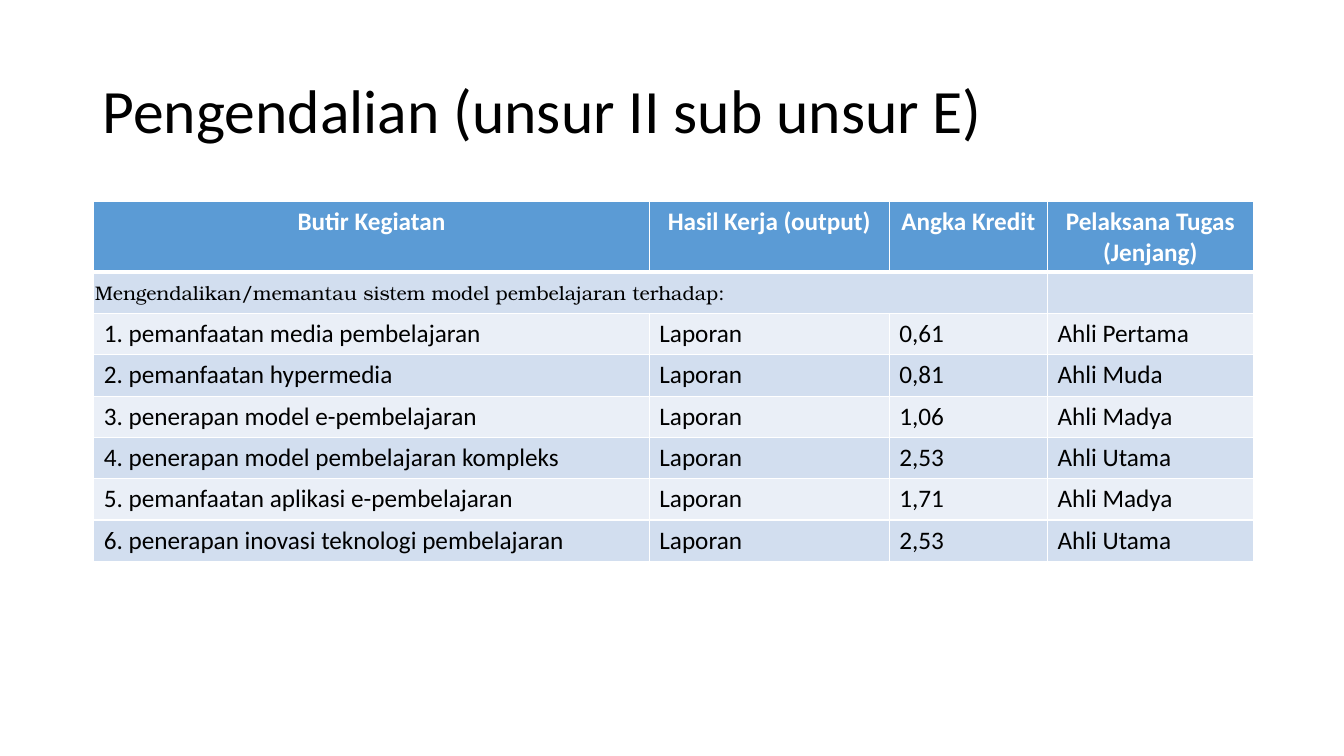
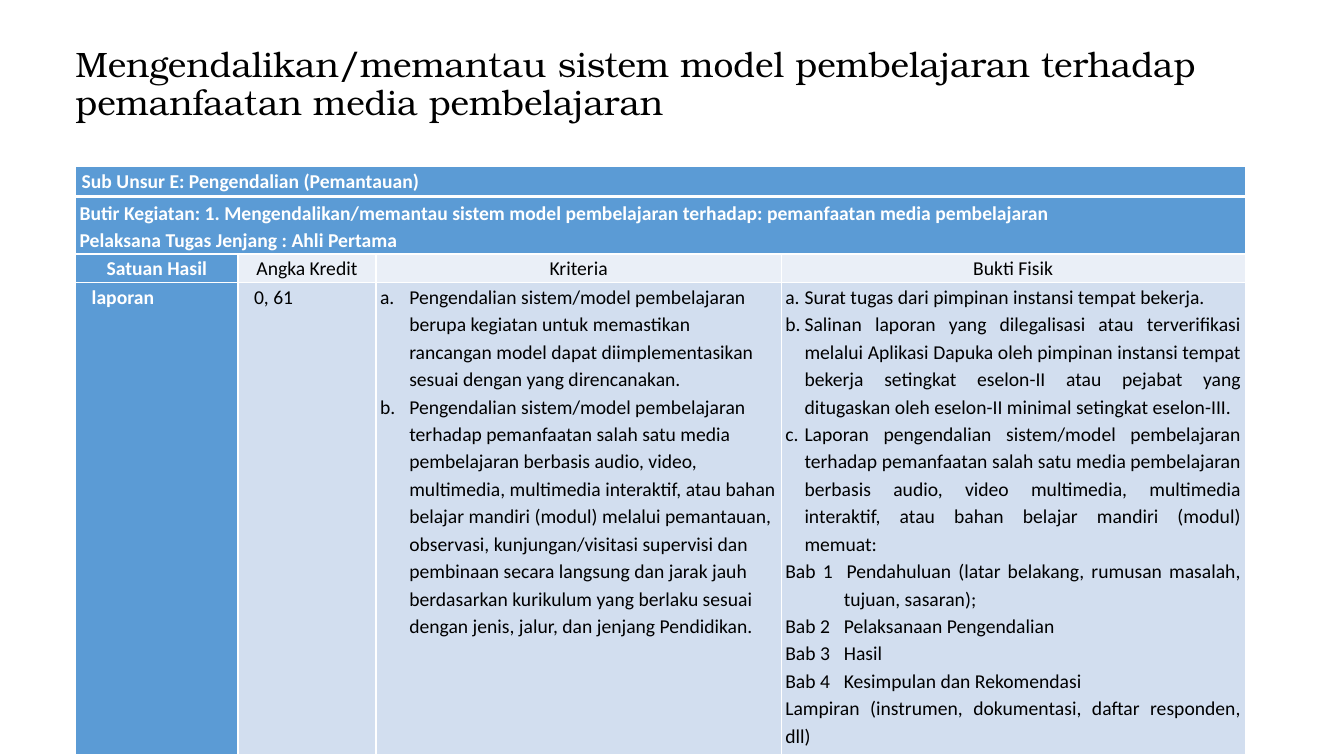
from lxml import etree
from pptx import Presentation
from pptx.dml.color import RGBColor
from pptx.enum.text import MSO_ANCHOR as Anchor, PP_ALIGN as Align
from pptx.oxml.ns import qn
from pptx.util import Inches, Pt

BLACK = RGBColor(0x00, 0x00, 0x00)
WHITE = RGBColor(0xFF, 0xFF, 0xFF)
BLUE = RGBColor(0x5B, 0x9B, 0xD5)
BAND_DARK = RGBColor(0xD2, 0xDE, 0xEF)
BAND_LIGHT = RGBColor(0xEA, 0xEF, 0xF7)
SANS = "Calibri"
SERIF = "TeX Gyre Bonum"
THIN, THICK = 1, 3


def add_run(paragraph, text, size, color=BLACK, bold=False, font=SANS):
    """Append one styled run to a paragraph."""
    run = paragraph.add_run()
    run.text = text
    run.font.name = font
    run.font.size = Pt(size)
    run.font.bold = bold
    run.font.color.rgb = color


def set_indent(paragraph, left, hanging=0, lettered=False):
    """Indent a paragraph in inches, optionally numbered a., b., c."""
    properties = paragraph._p.get_or_add_pPr()
    properties.set("marL", str(Inches(left)))
    properties.set("indent", str(-Inches(hanging)))
    if lettered:
        bullet = etree.SubElement(properties, qn("a:buAutoNum"))
        bullet.set("type", "alphaLcPeriod")


def set_borders(cell, top, bottom):
    """Draw white lines around a cell, with the given top and bottom widths."""
    properties = cell._tc.get_or_add_tcPr()
    sides = (("a:lnL", THIN), ("a:lnR", THIN), ("a:lnT", top), ("a:lnB", bottom))
    for index, (tag, width) in enumerate(sides):
        line = etree.Element(qn(tag), w=str(Pt(width)))
        fill = etree.SubElement(line, qn("a:solidFill"))
        etree.SubElement(fill, qn("a:srgbClr"), val=str(WHITE))
        properties.insert(index, line)


def set_margins(cell, side, vertical=0):
    """Set the inner margins of a cell in inches."""
    cell.margin_left = cell.margin_right = Inches(side)
    cell.margin_top = cell.margin_bottom = Inches(vertical)


def add_title(slide, box, text, size, font, anchor, top_margin):
    """Place a slide title in the given box."""
    shape = slide.shapes.add_textbox(*map(Inches, box))
    frame = shape.text_frame
    frame.word_wrap = True
    frame.vertical_anchor = anchor
    frame.margin_top = Inches(top_margin)
    paragraph = frame.paragraphs[0]
    paragraph.line_spacing = 0.9
    add_run(paragraph, text, size, font=font)


def add_grid(slide, left, top, widths, heights):
    """Add a table with white rules and a thick rule below its first row."""
    size = (left, top, sum(widths), sum(heights))
    shape = slide.shapes.add_table(len(heights), len(widths), *map(Inches, size))
    table = shape.table
    for column, width in zip(table.columns, widths):
        column.width = Inches(width)
    for index, (row, height) in enumerate(zip(table.rows, heights)):
        row.height = Inches(height)
        for cell in row.cells:
            set_borders(cell, THICK if index == 1 else THIN,
                        THICK if index == 0 else THIN)
    return table


def fill_cell(cell, color):
    """Give a cell a solid fill."""
    cell.fill.solid()
    cell.fill.fore_color.rgb = color


def add_activity_table(slide, left, top):
    """Place the list of activities with their credits and levels."""
    headers = ("Butir Kegiatan", "Hasil Kerja (output)", "Angka Kredit",
               "Pelaksana Tugas (Jenjang)")
    activities = (
        ("pemanfaatan media pembelajaran", "0,61", "Ahli Pertama"),
        ("pemanfaatan hypermedia", "0,81", "Ahli Muda"),
        ("penerapan model e-pembelajaran", "1,06", "Ahli Madya"),
        ("penerapan model pembelajaran kompleks", "2,53", "Ahli Utama"),
        ("pemanfaatan aplikasi e-pembelajaran", "1,71", "Ahli Madya"),
        ("penerapan inovasi teknologi pembelajaran", "2,53", "Ahli Utama"),
    )
    heights = [0.7] + [0.41] * (len(activities) + 1)
    table = add_grid(slide, left, top, (5.51, 2.38, 1.57, 2.04), heights)
    for column, header in enumerate(headers):
        cell = table.cell(0, column)
        fill_cell(cell, BLUE)
        paragraph = cell.text_frame.paragraphs[0]
        paragraph.alignment = Align.CENTER
        add_run(paragraph, header, 18, WHITE, bold=True)

    for column in range(len(headers)):
        fill_cell(table.cell(1, column), BAND_DARK)
    group = table.cell(1, 0)
    group.merge(table.cell(1, 2))
    group.vertical_anchor = Anchor.MIDDLE
    set_margins(group, 0.01)
    add_run(group.text_frame.paragraphs[0],
            "Mengendalikan/memantau sistem model pembelajaran terhadap:",
            14, font=SERIF)

    for number, (activity, credit, level) in enumerate(activities, 1):
        color = BAND_LIGHT if number % 2 else BAND_DARK
        values = (f"{number}. {activity}", "Laporan", credit, level)
        for column, value in enumerate(values):
            cell = table.cell(number + 1, column)
            fill_cell(cell, color)
            add_run(cell.text_frame.paragraphs[0], value, 18)


def write_lines(cell, lines, color=BLACK, bold=False, spacing=1.15,
                align=Align.LEFT):
    """Write (text, left, hanging, lettered) lines into a detail cell."""
    frame = cell.text_frame
    for index, (text, left, hanging, lettered) in enumerate(lines):
        paragraph = frame.add_paragraph() if index else frame.paragraphs[0]
        paragraph.alignment = align
        paragraph.line_spacing = spacing
        set_indent(paragraph, left, hanging, lettered)
        add_run(paragraph, text, 14, color, bold)


def add_detail_table(slide, left, top):
    """Place the criteria and evidence table of one activity."""
    headers = ("Satuan Hasil", "Angka Kredit", "Kriteria", "Bukti Fisik")
    criteria = (
        "Pengendalian sistem/model pembelajaran berupa kegiatan untuk "
        "memastikan rancangan model dapat diimplementasikan sesuai dengan "
        "yang direncanakan.",
        "Pengendalian sistem/model pembelajaran terhadap pemanfaatan salah "
        "satu media pembelajaran berbasis audio, video, multimedia, "
        "multimedia interaktif, atau bahan belajar mandiri (modul) melalui "
        "pemantauan, observasi, kunjungan/visitasi supervisi dan pembinaan "
        "secara langsung dan jarak jauh berdasarkan kurikulum yang berlaku "
        "sesuai dengan jenis, jalur, dan jenjang Pendidikan.",
    )
    evidence = (
        "Surat tugas dari pimpinan instansi tempat bekerja.",
        "Salinan laporan yang dilegalisasi atau terverifikasi melalui "
        "Aplikasi Dapuka oleh pimpinan instansi tempat bekerja setingkat "
        "eselon-II atau pejabat yang ditugaskan oleh eselon-II minimal "
        "setingkat eselon-III.",
        "Laporan pengendalian sistem/model pembelajaran terhadap pemanfaatan "
        "salah satu media pembelajaran berbasis audio, video multimedia, "
        "multimedia interaktif, atau bahan belajar mandiri (modul) memuat:",
    )
    chapters = (
        "Pendahuluan (latar belakang, rumusan masalah, tujuan, sasaran);",
        "Pelaksanaan Pengendalian",
        "Hasil",
        "Kesimpulan dan Rekomendasi",
    )
    appendix = "Lampiran (instrumen, dokumentasi, daftar responden, dll)"
    table = add_grid(slide, left, top, (1.61, 1.37, 4.02, 4.6),
                     (0.3, 0.57, 0.28, 4.69))
    for row, body_color in enumerate((BLUE, BLUE, BAND_LIGHT, BAND_DARK)):
        for column in range(len(headers)):
            cell = table.cell(row, column)
            set_margins(cell, 0.04)
            fill_cell(cell, body_color if column else BLUE)
            if row in (1, 2):
                cell.vertical_anchor = Anchor.MIDDLE

    for row in (0, 1):
        table.cell(row, 0).merge(table.cell(row, len(headers) - 1))
    write_lines(table.cell(0, 0),
                [("Sub Unsur E: Pengendalian (Pemantauan)", 0.02, 0, False)],
                WHITE, bold=True)
    write_lines(table.cell(1, 0), [
        ("Butir Kegiatan: 1. Mengendalikan/memantau sistem model pembelajaran "
         "terhadap: pemanfaatan media pembelajaran", 0, 0, False),
        ("Pelaksana Tugas Jenjang : Ahli Pertama", 0, 0, False),
    ], WHITE, bold=True)

    for column, header in enumerate(headers):
        first = column == 0
        write_lines(table.cell(2, column), [(header, 0, 0, False)],
                    WHITE if first else BLACK, first, 1.07, Align.CENTER)

    write_lines(table.cell(3, 0), [("laporan", 0.12, 0, False)], WHITE, bold=True)
    write_lines(table.cell(3, 1), [("0, 61", 0.12, 0, False)])
    write_lines(table.cell(3, 2), [(text, 0.29, 0.29, True) for text in criteria])
    evidence_lines = [(text, 0.19, 0.19, True) for text in evidence]
    evidence_lines += [(f"Bab {number}\t{text}", 0.58, 0.58, False)
                       for number, text in enumerate(chapters, 1)]
    evidence_lines.append((appendix, 0, 0, False))
    write_lines(table.cell(3, 3), evidence_lines, align=Align.JUSTIFY)


def build_overview_slide(slide):
    """Build the overview of the sub-element."""
    add_title(slide, (0.92, 0.4, 11.5, 1.45), "Pengendalian (unsur II sub unsur E)",
              44, SANS, Anchor.MIDDLE, 0.05)
    add_activity_table(slide, 0.93, 2)


def build_detail_slide(slide):
    """Build the detail of the first activity."""
    add_title(slide, (0.65, 0.47, 11.5, 1.11),
              "Mengendalikan/memantau sistem model pembelajaran terhadap "
              "pemanfaatan media pembelajaran", 25.2, SERIF, Anchor.TOP, 0)
    add_detail_table(slide, 0.75, 1.65)


def main():
    """Build and save the presentation."""
    presentation = Presentation()
    presentation.slide_width = Inches(13.33)
    presentation.slide_height = Inches(7.5)
    blank = presentation.slide_layouts[6]
    for build in (build_overview_slide, build_detail_slide):
        build(presentation.slides.add_slide(blank))
    presentation.save("out.pptx")


main()
